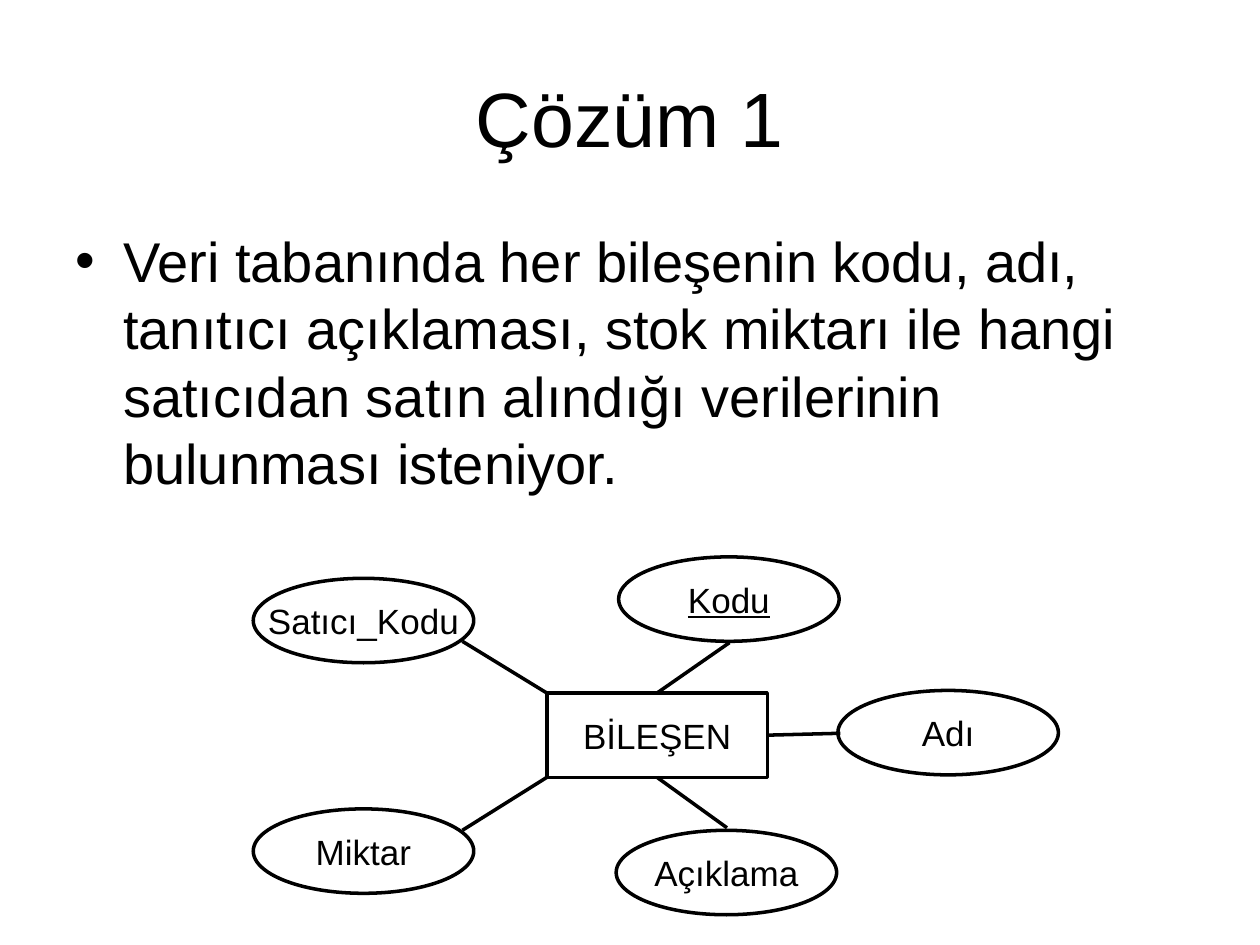
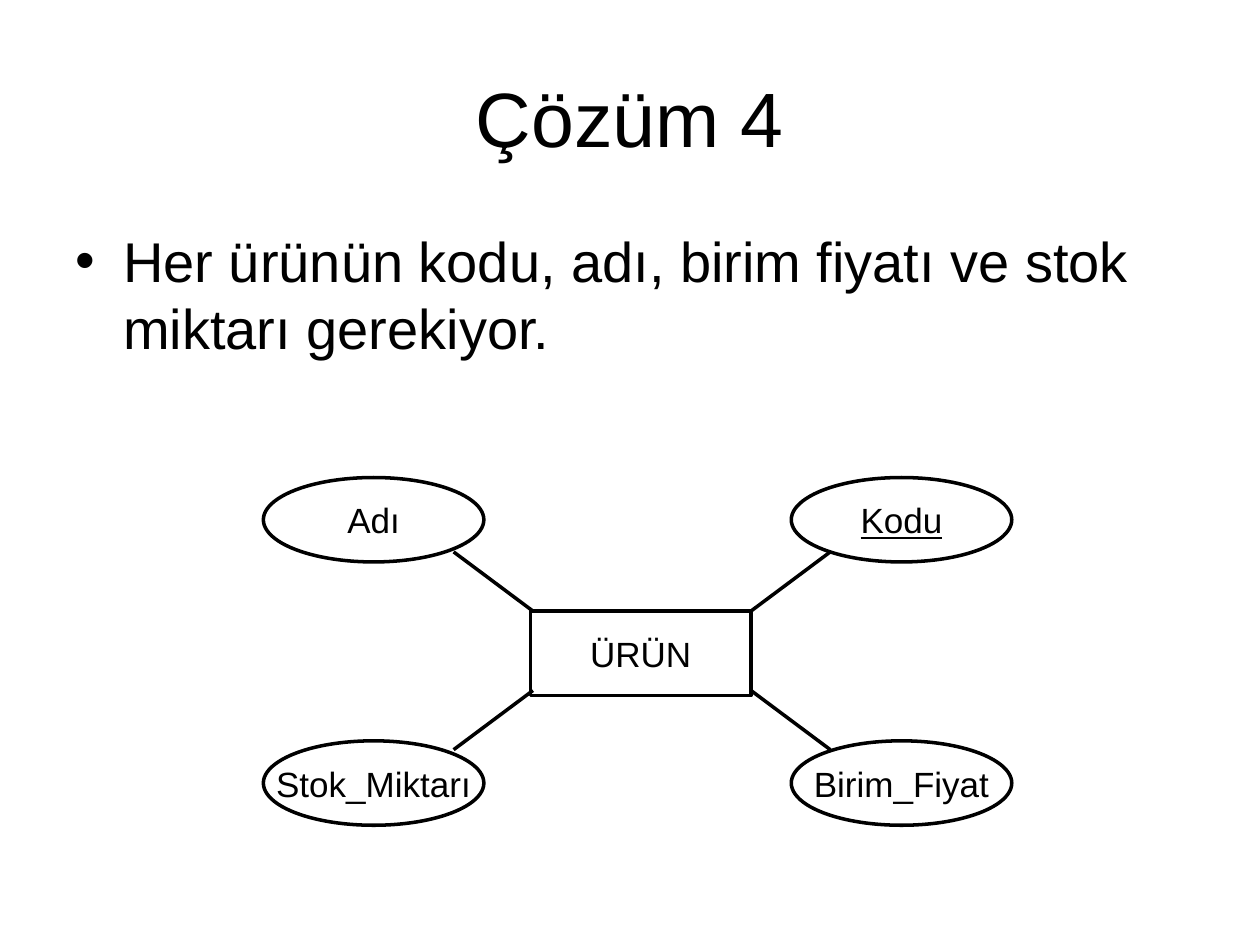
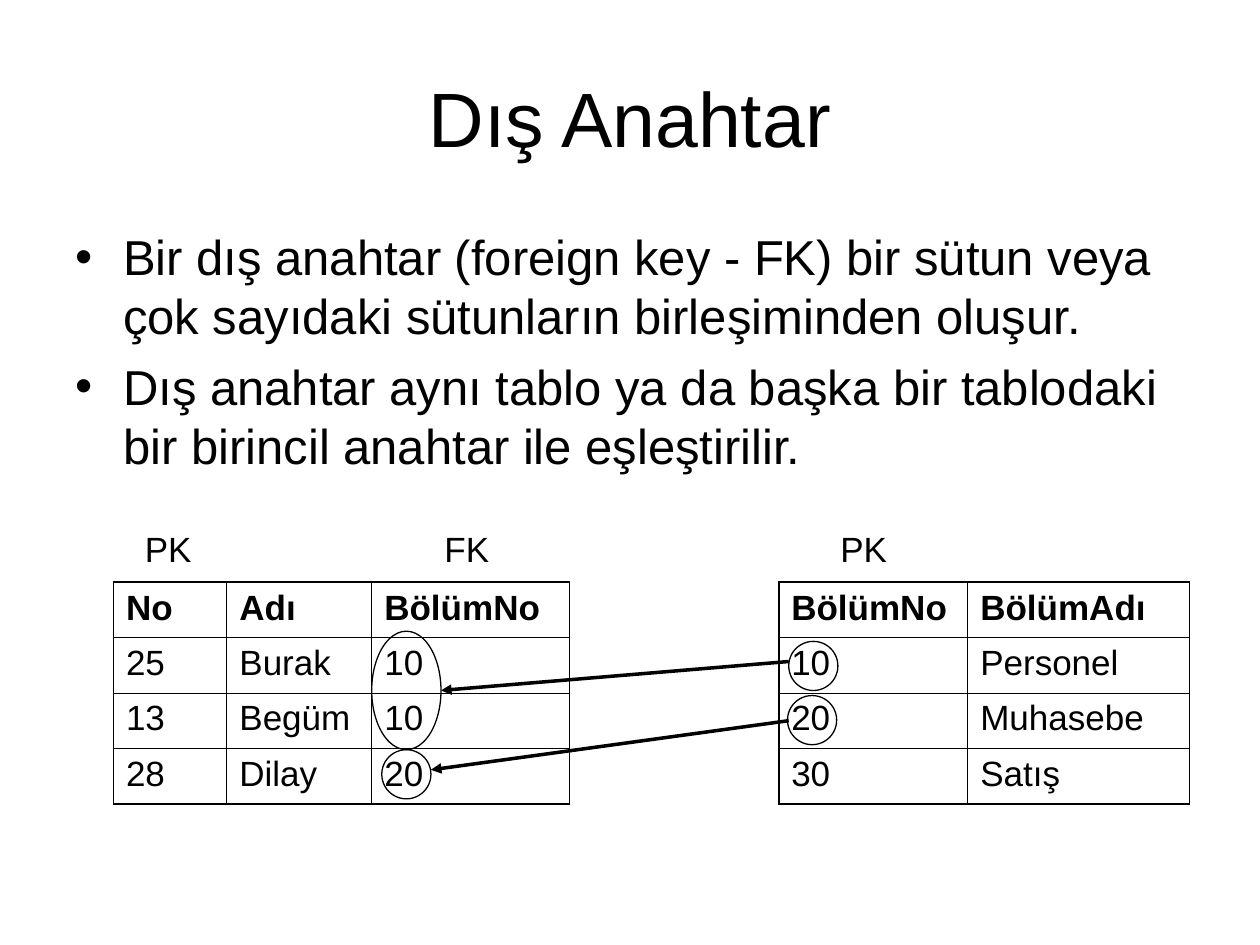
"""Build three database lecture slides: two entity diagrams and a foreign key example."""
from lxml import etree
from pptx import Presentation
from pptx.dml.color import RGBColor
from pptx.enum.shapes import MSO_CONNECTOR, MSO_SHAPE
from pptx.enum.text import MSO_ANCHOR, MSO_AUTO_SIZE, PP_ALIGN
from pptx.oxml.ns import qn
from pptx.util import Inches, Pt

COLORS = {"ink": "000000", "paper": "FFFFFF"}
INK = RGBColor.from_string(COLORS["ink"])
FONT = "Arial"
NODE_WIDTH, NODE_HEIGHT = 1.75, 0.67
ROW_HEIGHT = 0.44
OUTER_BORDER, INNER_BORDER = 1.08, 0.45

SLIDES = [
    ("Çözüm 1", 32, 8, 2.47, [
        "Veri tabanında her bileşenin kodu, adı, tanıtıcı açıklaması, stok miktarı "
        "ile hangi satıcıdan satın alındığı verilerinin bulunması isteniyor."]),
    ("Çözüm 4", 32, 8, 2.47, [
        "Her ürünün kodu, adı, birim fiyatı ve stok miktarı gerekiyor."]),
    ("Dış Anahtar", 28, 7, 2.39, [
        "Bir dış anahtar (foreign key - FK) bir sütun veya çok sayıdaki sütunların "
        "birleşiminden oluşur.",
        "Dış anahtar aynı tablo ya da başka bir tablodaki bir birincil anahtar ile "
        "eşleştirilir."]),
]

DIAGRAMS = [
    (("BİLEŞEN", 4.34, 5.5),
     [("Miktar", 2.01, 6.42), ("Adı", 6.65, 5.48), ("Kodu", 4.91, 4.42),
      ("Açıklama", 4.89, 6.59), ("Satıcı_Kodu", 2.01, 4.59)],
     [(6.09, 5.82, 6.67, 5.82, 3), (4.34, 6.17, 3.67, 6.59, None),
      (4.34, 5.5, 3.67, 5.09, None), (5.21, 5.49, 5.79, 5.1, 0),
      (5.22, 6.18, 5.77, 6.57, 2)]),
    (("ÜRÜN", 4.21, 4.85),
     [("Stok_Miktarı", 2.09, 5.88), ("Kodu", 6.28, 3.79),
      ("Birim_Fiyat", 6.28, 5.88), ("Adı", 2.09, 3.79)],
     [(4.23, 4.85, 3.6, 4.38, None), (5.96, 4.85, 6.59, 4.38, None),
      (4.23, 5.48, 3.6, 5.95, None), (5.96, 5.48, 6.59, 5.95, None)]),
]

TABLES = [
    (0.9, [0.9, 1.15, 1.57], [
        ["No", "Adı", "BölümNo"], ["25", "Burak", "10"],
        ["13", "Begüm", "10"], ["28", "Dilay", "20"]]),
    (6.18, [1.5, 1.76], [
        ["BölümNo", "BölümAdı"], ["10", "Personel"],
        ["20", "Muhasebe"], ["30", "Satış"]]),
]


def add_outline(slide, kind, left, top, width, height, weight):
    shape = slide.shapes.add_shape(
        kind, Inches(left), Inches(top), Inches(width), Inches(height))
    shape.shadow.inherit = False
    shape.fill.background()
    shape.line.color.rgb = INK
    shape.line.width = Pt(weight)
    return shape


def add_line(slide, start_x, start_y, end_x, end_y):
    line = slide.shapes.add_connector(
        MSO_CONNECTOR.STRAIGHT, Inches(start_x), Inches(start_y),
        Inches(end_x), Inches(end_y))
    line.line.color.rgb = INK
    line.line.width = Pt(2)
    etree.SubElement(line._element.spPr, qn("a:effectLst"))
    return line


presentation = Presentation()
presentation.slide_width, presentation.slide_height = Inches(10), Inches(7.5)
slides = []

for title_text, size, space, height, bullets in SLIDES:
    slide = presentation.slides.add_slide(presentation.slide_layouts[5])
    slides.append(slide)
    slide.background.fill.solid()
    slide.background.fill.fore_color.rgb = RGBColor.from_string(COLORS["paper"])

    title = slide.shapes.title
    title.left, title.top = Inches(0.5), Inches(0.3)
    title.width, title.height = Inches(9), Inches(1.25)
    title.text_frame.text = title_text
    title.text_frame.vertical_anchor = MSO_ANCHOR.MIDDLE
    paragraph = title.text_frame.paragraphs[0]
    paragraph.alignment = PP_ALIGN.CENTER
    paragraph.font.name, paragraph.font.size = FONT, Pt(44)
    paragraph.font.color.rgb = INK

    body = slide.shapes.add_textbox(Inches(0.5), Inches(1.75), Inches(9), Inches(height))
    body.text_frame.word_wrap = True
    body.text_frame.text = "\n".join(bullets)
    for paragraph in body.text_frame.paragraphs:
        paragraph.space_before = Pt(space)
        paragraph.font.name, paragraph.font.size = FONT, Pt(size)
        paragraph.font.color.rgb = INK
        properties = paragraph._p.get_or_add_pPr()
        properties.set("marL", str(Inches(0.38)))
        properties.set("indent", str(-Inches(0.38)))
        bullet_font = etree.Element(qn("a:buFont"), typeface=FONT)
        bullet = etree.Element(qn("a:buChar"), char="•")
        properties.find(qn("a:spcBef")).addnext(bullet_font)
        bullet_font.addnext(bullet)

for slide, (entity, attributes, spokes) in zip(slides, DIAGRAMS):
    nodes = []
    for label, left, top in [entity] + attributes:
        kind = MSO_SHAPE.OVAL if nodes else MSO_SHAPE.RECTANGLE
        node = add_outline(slide, kind, left, top, NODE_WIDTH, NODE_HEIGHT, 2)
        nodes.append(node)
        node.text_frame.word_wrap = False
        node.text_frame.vertical_anchor = MSO_ANCHOR.MIDDLE
        node.text_frame.text = label
        paragraph = node.text_frame.paragraphs[0]
        paragraph.alignment = PP_ALIGN.CENTER
        paragraph.font.name, paragraph.font.size = FONT, Pt(20)
        paragraph.font.color.rgb = INK
        if label == "Kodu":
            paragraph.font.underline = True
    for *ends, side in spokes:
        spoke = add_line(slide, *ends)
        if side is not None:
            spoke.begin_connect(nodes[0], side)

key_slide = slides[2]
for left, widths, rows in TABLES:
    frame = key_slide.shapes.add_table(
        len(rows), len(widths), Inches(left), Inches(4.62),
        Inches(sum(widths)), Inches(ROW_HEIGHT * len(rows)))
    table = frame.table
    table.first_row = table.horz_banding = False
    for column, width in zip(table.columns, widths):
        column.width = Inches(width)
    for row_index, row in enumerate(rows):
        table.rows[row_index].height = Inches(ROW_HEIGHT)
        for column_index, value in enumerate(row):
            cell = table.cell(row_index, column_index)
            cell.text = value
            cell.fill.background()
            paragraph = cell.text_frame.paragraphs[0]
            paragraph.space_before = Pt(5)
            paragraph.font.name, paragraph.font.size = FONT, Pt(20)
            paragraph.font.bold = row_index == 0
            paragraph.font.color.rgb = INK
            heavy_sides = {
                "a:lnL": column_index == 0,
                "a:lnR": column_index == len(widths) - 1,
                "a:lnT": row_index <= 1,
                "a:lnB": row_index in (0, len(rows) - 1),
            }
            cell_properties = cell._tc.get_or_add_tcPr()
            for position, (tag, heavy) in enumerate(heavy_sides.items()):
                weight = OUTER_BORDER if heavy else INNER_BORDER
                border = etree.Element(qn(tag), w=str(Pt(weight)))
                fill = etree.SubElement(border, qn("a:solidFill"))
                etree.SubElement(fill, qn("a:srgbClr"), val=COLORS["ink"])
                cell_properties.insert(position, border)

for label, left in [("PK", 0.98), ("PK", 6.5), ("FK", 3.35)]:
    key_label = key_slide.shapes.add_textbox(
        Inches(left), Inches(4.14), Inches(0.71), Inches(0.44))
    key_label.text_frame.word_wrap = True
    key_label.text_frame.auto_size = MSO_AUTO_SIZE.SHAPE_TO_FIT_TEXT
    key_label.text_frame.text = label
    paragraph = key_label.text_frame.paragraphs[0]
    paragraph.alignment = PP_ALIGN.CENTER
    paragraph.space_before = Pt(12.5)
    paragraph.font.name, paragraph.font.size = FONT, Pt(20)
    paragraph.font.color.rgb = INK

for left, top, width, height in [
        (2.95, 5.01, 0.55, 0.94), (3.03, 5.95, 0.39, 0.39),
        (6.26, 5.09, 0.39, 0.39), (6.25, 5.52, 0.39, 0.39)]:
    add_outline(key_slide, MSO_SHAPE.OVAL, left, top, width, height, 0.75)

for ends in [(6.26, 5.25, 3.5, 5.48), (6.26, 5.72, 3.42, 6.11)]:
    arrow = add_line(key_slide, *ends)
    etree.SubElement(arrow.line._get_or_add_ln(), qn("a:tailEnd"), type="triangle")

presentation.save("out.pptx")
